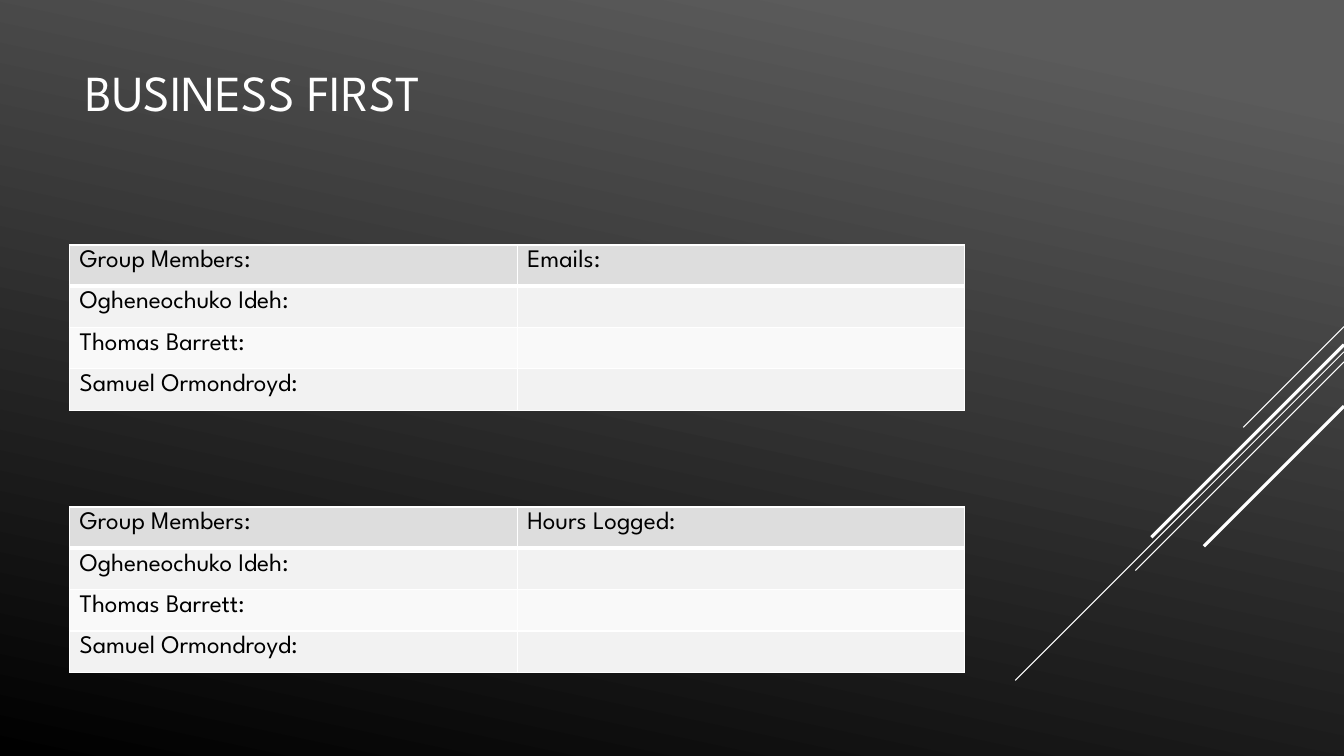
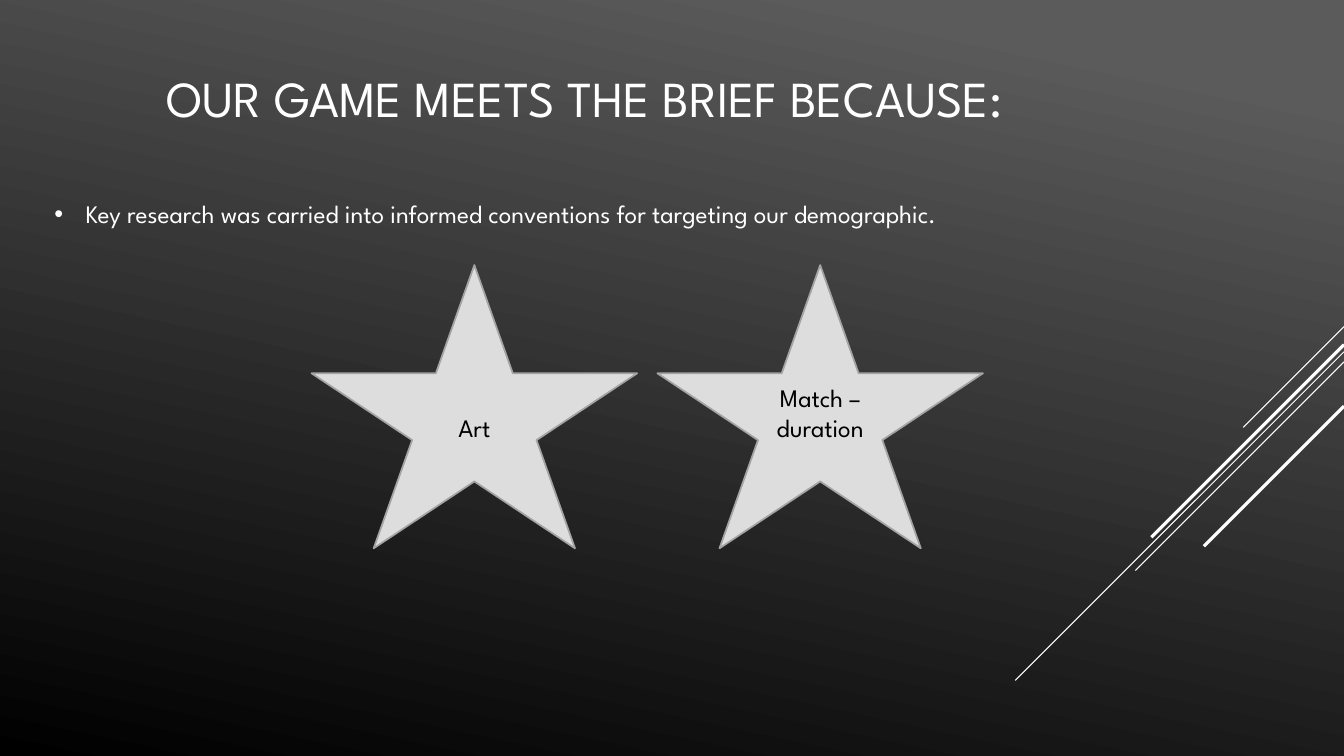
from dataclasses import dataclass

from lxml import etree
from pptx import Presentation
from pptx.dml.color import RGBColor
from pptx.enum.shapes import MSO_CONNECTOR, MSO_SHAPE
from pptx.enum.text import MSO_ANCHOR, MSO_AUTO_SIZE, PP_ALIGN
from pptx.oxml.ns import qn
from pptx.util import Inches, Pt

STRAIGHT = MSO_CONNECTOR.STRAIGHT
STAR = MSO_SHAPE.STAR_5_POINT
TOP, MIDDLE = MSO_ANCHOR.TOP, MSO_ANCHOR.MIDDLE
LEFT, CENTER = PP_ALIGN.LEFT, PP_ALIGN.CENTER
NO_AUTOFIT = MSO_AUTO_SIZE.NONE


@dataclass(frozen=True)
class Theme:
    font: str = "League Spartan"
    light: str = "FFFFFF"
    dark: str = "000000"
    glow: str = "5B5B5B"
    accent: str = "DDDDDD"
    accent_edge: str = "A3A3A3"
    bands: tuple = ("F2F2F2", "F9F9F9")
    title_size: int = 36
    text_size: int = 18


THEME = Theme()
SLIDE_WIDTH, SLIDE_HEIGHT = 13.33, 7.5
TITLE_ONLY, TITLE_AND_CONTENT = 5, 1

MEMBERS = ["Ogheneochuko Ideh:", "Thomas Barrett:", "Samuel Ormondroyd:"]
MEMBER_TABLES = [("Emails:", 2.43), ("Hours Logged:", 5.03)]
TABLE_LEFT, COLUMN_WIDTH, ROW_HEIGHT = 0.69, 4.44, 0.41

RESEARCH_POINT = "Key research was carried into informed conventions for targeting our demographic."
BULLET_INDENT = 0.31
STARS = [("Art", 0.05), ("Match – duration", 0.35)]
STAR_LEFT, STAR_TOP, STAR_WIDTH, STAR_HEIGHT, STAR_GAP = 3.09, 2.63, 3.23, 2.81, 0.2

DIAGONALS = [
    (3.24, 1.0, 0.75),
    (3.49, 3.26, 0.75),
    (3.59, 2.07, 0.75),
    (3.42, 1.91, 2.25),
    (4.03, 1.39, 2.25),
]


def color(value):
    return RGBColor.from_string(value)


def paint(fill, value):
    fill.solid()
    fill.fore_color.rgb = color(value)


def place(shape, *box):
    for name, value in zip(("left", "top", "width", "height"), box):
        setattr(shape, name, Inches(value))


def write(frame, text, ink, size=THEME.text_size, align=LEFT, anchor=TOP):
    frame.word_wrap = True
    frame.vertical_anchor = anchor
    paragraph = frame.paragraphs[0]
    paragraph.alignment = align
    paragraph.space_before = Pt(0)
    run = paragraph.add_run()
    run.text = text
    for name, value in {"name": THEME.font, "size": Pt(size), "bold": False}.items():
        setattr(run.font, name, value)
    run.font.color.rgb = color(ink)
    return paragraph


def add_titled_slide(presentation, layout, title, box):
    slide = presentation.slides.add_slide(presentation.slide_layouts[layout])
    place(slide.shapes.title, *box)
    frame = slide.shapes.title.text_frame
    frame.auto_size = NO_AUTOFIT
    write(frame, title, THEME.light, THEME.title_size, anchor=MIDDLE)
    return slide


def style_master(master, slide):
    fill = master.background.fill
    fill.gradient()
    fill.gradient_angle = 360 - 102
    for stop, (position, value) in zip(
        fill.gradient_stops, [(0.1, THEME.glow), (1, THEME.dark)]
    ):
        stop.position = position
        stop.color.rgb = color(value)
    for top, run, width in DIAGONALS:
        ends = (SLIDE_WIDTH, top, SLIDE_WIDTH - run, top + run)
        line = slide.shapes.add_connector(STRAIGHT, *map(Inches, ends))
        line.line.color.rgb = color(THEME.light)
        line.line.width = Pt(width)
        etree.SubElement(line.element.spPr, qn("a:effectLst"))
        master.shapes.element.append(line.element)


def set_borders(cell, widths):
    properties = cell._tc.get_or_add_tcPr()
    for index, (side, width) in enumerate(widths.items()):
        border = etree.Element(qn(f"a:ln{side}"), w=str(Pt(width)))
        fill = etree.SubElement(border, qn("a:solidFill"))
        etree.SubElement(fill, qn("a:srgbClr"), val=THEME.light)
        properties.insert(index, border)


def add_member_table(slide, heading, top):
    rows = [("Group Members:", heading)] + [(member, "") for member in MEMBERS]
    size = (2 * COLUMN_WIDTH, len(rows) * ROW_HEIGHT)
    box = map(Inches, (TABLE_LEFT, top, *size))
    table = slide.shapes.add_table(len(rows), 2, *box).table
    for row_index, row in enumerate(rows):
        table.rows[row_index].height = Inches(ROW_HEIGHT)
        background = THEME.bands[(row_index - 1) % 2] if row_index else THEME.accent
        widths = {
            "L": 1,
            "R": 1,
            "T": 3 if row_index == 1 else 1,
            "B": 3 if row_index == 0 else 1,
        }
        for column_index, text in enumerate(row):
            cell = table.cell(row_index, column_index)
            paint(cell.fill, background)
            set_borders(cell, widths)
            if text:
                write(cell.text_frame, text, THEME.dark)


def add_research_point(slide):
    body = slide.placeholders[1]
    place(body, 0.44, 1.92, 12.03, 0.71)
    body.text_frame.auto_size = NO_AUTOFIT
    paragraph = write(body.text_frame, RESEARCH_POINT, THEME.light)
    properties = paragraph._p.get_or_add_pPr()
    properties.set("marL", str(Inches(BULLET_INDENT)))
    properties.set("indent", str(-Inches(BULLET_INDENT)))


def add_stars(slide):
    for index, (label, bottom_margin) in enumerate(STARS):
        left = STAR_LEFT + index * (STAR_WIDTH + STAR_GAP)
        box = map(Inches, (left, STAR_TOP, STAR_WIDTH, STAR_HEIGHT))
        star = slide.shapes.add_shape(STAR, *box)
        star.shadow.inherit = False
        paint(star.fill, THEME.accent)
        star.line.color.rgb = color(THEME.accent_edge)
        star.line.width = Pt(1.25)
        star.text_frame.margin_bottom = Inches(bottom_margin)
        write(star.text_frame, label, THEME.dark, align=CENTER, anchor=MIDDLE)


def main():
    presentation = Presentation()
    presentation.slide_width = Inches(SLIDE_WIDTH)
    presentation.slide_height = Inches(SLIDE_HEIGHT)

    business = add_titled_slide(
        presentation, TITLE_ONLY, "BUSINESS FIRST", (0.75, 0.08, 9.33, 1.65)
    )
    style_master(presentation.slide_master, business)
    for heading, top in MEMBER_TABLES:
        add_member_table(business, heading, top)

    brief = add_titled_slide(
        presentation,
        TITLE_AND_CONTENT,
        "OUR GAME MEETS THE BRIEF BECAUSE:",
        (1.55, -0.08, 10.83, 2.1),
    )
    add_research_point(brief)
    add_stars(brief)

    presentation.save("out.pptx")


if __name__ == "__main__":
    main()
